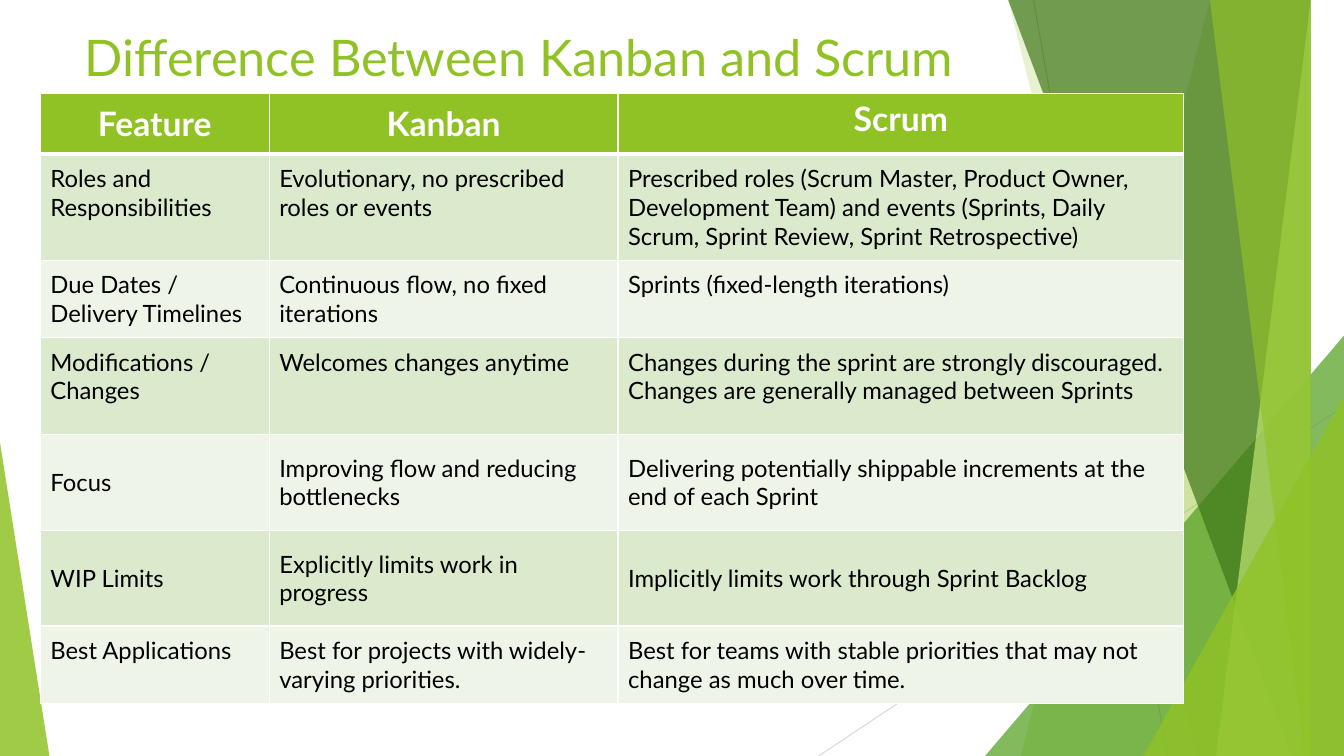
from lxml import etree
from pptx import Presentation, util as u
from pptx.dml.color import RGBColor
from pptx.enum import shapes, text
from pptx.oxml.ns import qn

WIDTH, HEIGHT = 13.33, 7.5
FONT, LIME, WHITE, BLACK = "Lato", "90C226", "FFFFFF", "000000"
ROW_FILLS = ["EEF4E8", "DBE9CD"]

TITLE = "Difference Between Kanban and Scrum"
HEADERS = ["Feature", "Kanban", "Scrum"]
FEATURES = [
    ("Roles and Responsibilities", "Evolutionary, no prescribed roles or events",
     "Prescribed roles (Scrum Master, Product Owner, Development Team) and events "
     "(Sprints, Daily Scrum, Sprint Review, Sprint Retrospective)"),
    ("Due Dates / Delivery Timelines", "Continuous flow, no fixed iterations",
     "Sprints (fixed-length iterations)"),
    ("Modifications / Changes", "Welcomes changes anytime",
     "Changes during the sprint are strongly discouraged. "
     "Changes are generally managed between Sprints"),
    ("Focus", "Improving flow and reducing bottlenecks",
     "Delivering potentially shippable increments at the end of each Sprint"),
    ("WIP Limits", "Explicitly limits work in progress",
     "Implicitly limits work through Sprint Backlog"),
    ("Best Applications", "Best for projects with widely-varying priorities.",
     "Best for teams with stable priorities that may not change as much over time."),
]
CENTRED = {"Feature", "Kanban", "Focus", "WIP Limits"}  # rows or headers anchored in the middle
TIGHT = {"Scrum", "Focus", "WIP Limits"}  # rows or headers with narrow top and bottom margins
COLUMNS = [2.27, 3.46, 5.61]
ROWS = [0.59, 0.95, 0.77, 0.96, 0.95, 0.95, 0.54]

# Lines: start, end, colour
LINES = [((10.25, 0), (11.58, HEIGHT), "BFBFBF"),
         ((WIDTH, 4.03), (8.12, HEIGHT), "D9D9D9")]
# Bands reach the right edge: left x at the top, left x at the bottom, colour, opacity
# Triangles stand on the bottom edge: left, width, height, apex, colour, opacity
DECOR = [
    ("band", 12.28, 10.04, LIME, 30),
    ("band", 10.5, 11.83, LIME, 20),
    ("triangle", 9.77, 3.56, 4.17, 1, "54A021", 72),
    ("band", 10.21, 12.91, "3F7819", 70),
    ("band", 13.03, 11.92, "C0E474", 70),
    ("band", 11.96, 13.18, LIME, 65),
    ("triangle", 11.34, 1.99, 3.57, 1, LIME, 80),
    ("triangle", 0, 0.49, 3.11, 0, LIME, 85),
]


def rgb(value):
    return RGBColor.from_string(value)


def write(tf, words, size, color, bold=False, align=text.PP_ALIGN.LEFT,
          anchor=text.MSO_ANCHOR.TOP):
    tf.word_wrap = True
    tf.vertical_anchor = anchor
    p = tf.paragraphs[0]
    p.alignment = align
    r = p.add_run()
    r.text = words
    r.font.name, r.font.size, r.font.bold = FONT, u.Pt(size), bold
    r.font.color.rgb = rgb(color)


def paint(sp, color, opacity):
    sp.shadow.inherit = False
    sp.line.fill.background()
    sp.fill.solid()
    sp.fill.fore_color.rgb = rgb(color)
    clr = sp.fill._xPr.find(".//" + qn("a:srgbClr"))
    etree.SubElement(clr, qn("a:alpha"), val=str(opacity * 1000))


def add_line(s, start, end, color):
    line = s.shapes.add_connector(shapes.MSO_CONNECTOR.STRAIGHT,
                                  *(u.Inches(v) for v in start + end))
    line.line.color.rgb = rgb(color)
    line.line.width = u.Pt(0.75)
    etree.SubElement(line.element.spPr, qn("a:effectLst"))


def add_band(s, top, bottom, color, opacity):
    builder = s.shapes.build_freeform(top, 0, scale=u.Inches(1))
    builder.add_line_segments([(WIDTH, 0), (WIDTH, HEIGHT), (bottom, HEIGHT)], close=True)
    paint(builder.convert_to_shape(), color, opacity)


def add_triangle(s, left, width, height, apex, color, opacity):
    box = (left, HEIGHT - height, width, height)
    sp = s.shapes.add_shape(shapes.MSO_SHAPE.ISOSCELES_TRIANGLE, *map(u.Inches, box))
    sp.adjustments[0] = apex
    paint(sp, color, opacity)


def add_borders(cell, **widths):
    tcPr = cell._tc.get_or_add_tcPr()
    for side in "LRTB":
        ln = etree.SubElement(tcPr, qn("a:ln" + side), w=str(u.Pt(widths.get(side, 1))))
        fill = etree.SubElement(ln, qn("a:solidFill"))
        etree.SubElement(fill, qn("a:srgbClr"), val=WHITE)


def add_comparison(s):
    box = (0.4, 0.93, sum(COLUMNS), sum(ROWS))
    table = s.shapes.add_table(len(ROWS), len(COLUMNS), *map(u.Inches, box)).table
    for column, width in zip(table.columns, COLUMNS):
        column.width = u.Inches(width)
    for i, words in enumerate([HEADERS] + FEATURES):
        table.rows[i].height = u.Inches(ROWS[i])
        for j, entry in enumerate(words):
            cell = table.cell(i, j)
            key = entry if i == 0 else words[0]
            add_borders(cell, B=3 if i == 0 else 1, T=3 if i == 1 else 1)
            cell.fill.solid()
            cell.fill.fore_color.rgb = rgb(ROW_FILLS[i % 2] if i else LIME)
            cell.margin_left = cell.margin_right = u.Inches(0.1)
            cell.margin_top = cell.margin_bottom = u.Inches(0.05 if key in TIGHT else 0.1)
            middle = key in CENTRED
            cell.vertical_anchor = text.MSO_ANCHOR.MIDDLE if middle else text.MSO_ANCHOR.TOP
            style = (dict(size=17, color=BLACK) if i else
                     dict(size=24, color=WHITE, bold=True, align=text.PP_ALIGN.CENTER))
            write(cell.text_frame, entry, anchor=None, **style)


def main():
    prs = Presentation()
    prs.slide_width, prs.slide_height = u.Inches(WIDTH), u.Inches(HEIGHT)
    s = prs.slides.add_slide(prs.slide_layouts[5])
    for line in LINES:
        add_line(s, *line)
    for kind, *geometry in DECOR:
        (add_band if kind == "band" else add_triangle)(s, *geometry)

    title = s.shapes.title
    title.left, title.top, title.width, title.height = map(u.Inches, (0.74, 0.2, 9.4, 0.72))
    write(title.text_frame, TITLE, 36, LIME, anchor=text.MSO_ANCHOR.MIDDLE)
    title.element.getparent().append(title.element)  # in front of the decoration

    add_comparison(s)
    prs.save("out.pptx")


if __name__ == "__main__":
    main()
